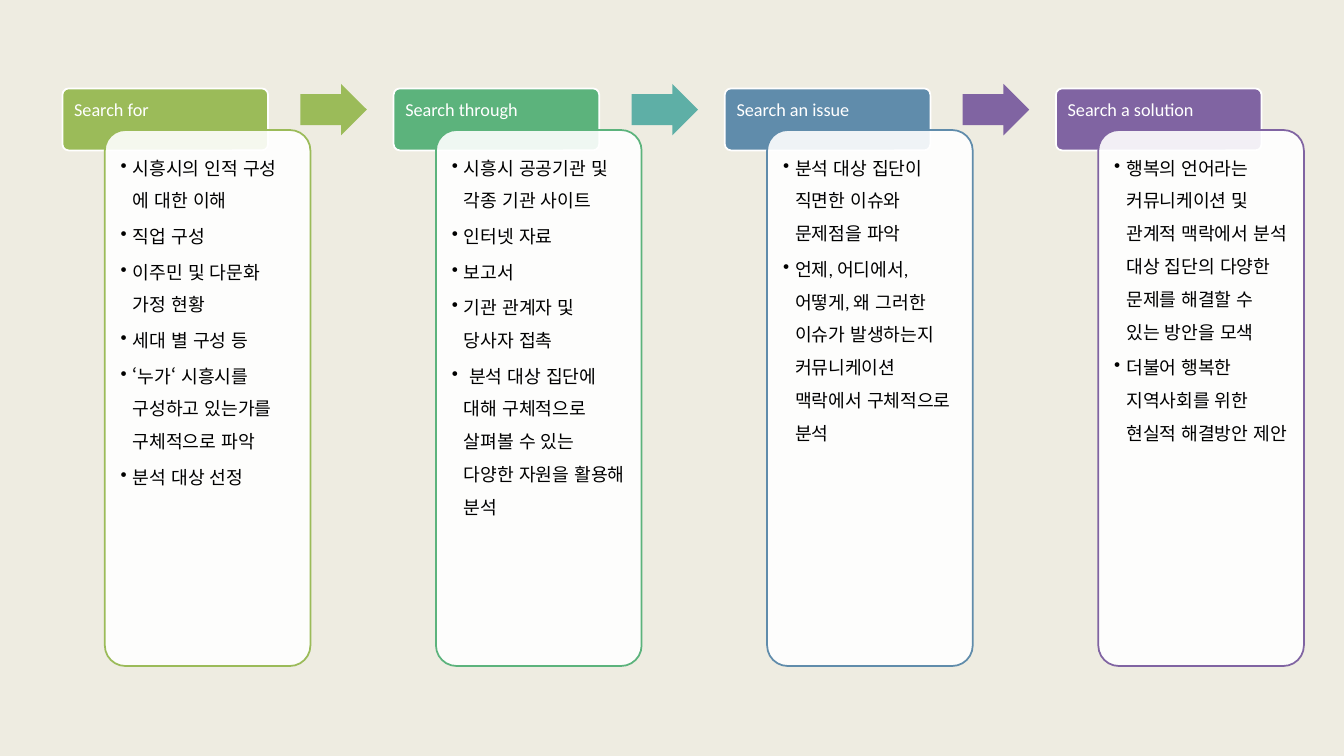
from pptx import Presentation
from pptx.dml.color import RGBColor
from pptx.enum.lang import MSO_LANGUAGE_ID
from pptx.enum.shapes import MSO_SHAPE
from pptx.enum.text import MSO_ANCHOR, PP_ALIGN
from pptx.oxml.ns import qn
from pptx.util import Inches, Pt
from lxml.etree import SubElement

CREAM = RGBColor(0xEE, 0xEC, 0xE1)
WHITE = RGBColor(0xFF, 0xFF, 0xFF)
BLACK = RGBColor(0, 0, 0)
LIME = RGBColor(0x9B, 0xBB, 0x59)
GREEN = RGBColor(0x5C, 0xB3, 0x7C)
TEAL = RGBColor(0x5E, 0xAF, 0xA6)
BLUE = RGBColor(0x60, 0x8C, 0xAB)
PLUM = RGBColor(0x80, 0x64, 0xA2)

deck = Presentation()
deck.slide_width, deck.slide_height = Inches(13.33), Inches(7.5)
col, row = deck.slide_width / 100, deck.slide_height / 100
slide = deck.slides.add_slide(deck.slide_layouts[6])
slide.background.fill.solid()
slide.background.fill.fore_color.rgb = CREAM

steps = [
    ("Search for", LIME, LIME, [
        "시흥시의 인적 구성 에 대한 이해",
        "직업 구성",
        "이주민 및 다문화 가정 현황",
        "세대 별 구성 등",
        "‘누가‘ 시흥시를 구성하고 있는가를 구체적으로 파악",
        "분석 대상 선정"]),
    ("Search through", GREEN, TEAL, [
        "시흥시 공공기관 및 각종 기관 사이트",
        "인터넷 자료",
        "보고서",
        "기관 관계자 및 당사자 접촉",
        " 분석 대상 집단에 대해 구체적으로 살펴볼 수 있는 다양한 자원을 활용해 분석"]),
    ("Search an issue", BLUE, PLUM, [
        "분석 대상 집단이 직면한 이슈와 문제점을 파악",
        "언제, 어디에서, 어떻게, 왜 그러한 이슈가 발생하는지 커뮤니케이션 맥락에서 구체적으로 분석"]),
    ("Search a solution", PLUM, None, [
        "행복의 언어라는 커뮤니케이션 및 관계적 맥락에서 분석 대상 집단의 다양한 문제를 해결할 수 있는 방안을 모색",
        "더불어 행복한 지역사회를 위한 현실적 해결방안 제안"]),
]


def draw(kind, left, top, width, height, fill, line=None):
    shape = slide.shapes.add_shape(
        kind, round(left * col), round(top * row),
        round(width * col), round(height * row))
    shape.shadow.inherit = False
    shape.fill.solid()
    shape.fill.fore_color.rgb = fill
    if line is None:
        shape.line.fill.background()
    else:
        shape.line.color.rgb = line
        shape.line.width = Pt(1.25)
    return shape


def write(shape, lines, color, space, after, mark):
    frame = shape.text_frame
    frame.word_wrap = True
    frame.vertical_anchor = MSO_ANCHOR.TOP
    frame.margin_left = frame.margin_right = frame.margin_top = Inches(0.1)
    for i, line in enumerate(lines):
        para = frame.add_paragraph() if i else frame.paragraphs[0]
        para.alignment = PP_ALIGN.LEFT
        para.line_spacing = space
        para.space_after = Pt(after)
        if mark:
            props = para._p.get_or_add_pPr()
            props.set("marL", str(Inches(0.12)))
            props.set("indent", str(-Inches(0.12)))
            SubElement(props, qn("a:buChar")).set("char", mark)
        run = para.add_run()
        run.text = line
        run.font.name = "Calibri"
        run.font.size = Pt(13)
        run.font.color.rgb = color
        run.font.language_id = MSO_LANGUAGE_ID.KOREAN


for i, (title, tone, next_tone, points) in enumerate(steps):
    left = 4.65 + 24.64 * i

    head = draw(MSO_SHAPE.ROUNDED_RECTANGLE, left, 11.7, 15.3, 8.2, tone, WHITE)
    head.adjustments[0] = 0.1
    write(head, [title], WHITE, 0.9, 4.5, None)

    card = draw(MSO_SHAPE.ROUNDED_RECTANGLE, left + 3.15, 17.2, 15.3, 70.9, WHITE, tone)
    card.adjustments[0] = 0.1
    shade = card.fill._xPr.find(qn("a:solidFill"))[0]
    SubElement(shade, qn("a:alpha")).set("val", "90000")
    write(card, points, BLACK, 1.5, 2, "•")

    if next_tone:
        arrow = draw(MSO_SHAPE.RIGHT_ARROW, left + 17.7, 11.1, 4.95, 6.8, next_tone)
        arrow.adjustments[0] = 0.6
        arrow.adjustments[1] = 0.5

deck.save("out.pptx")
